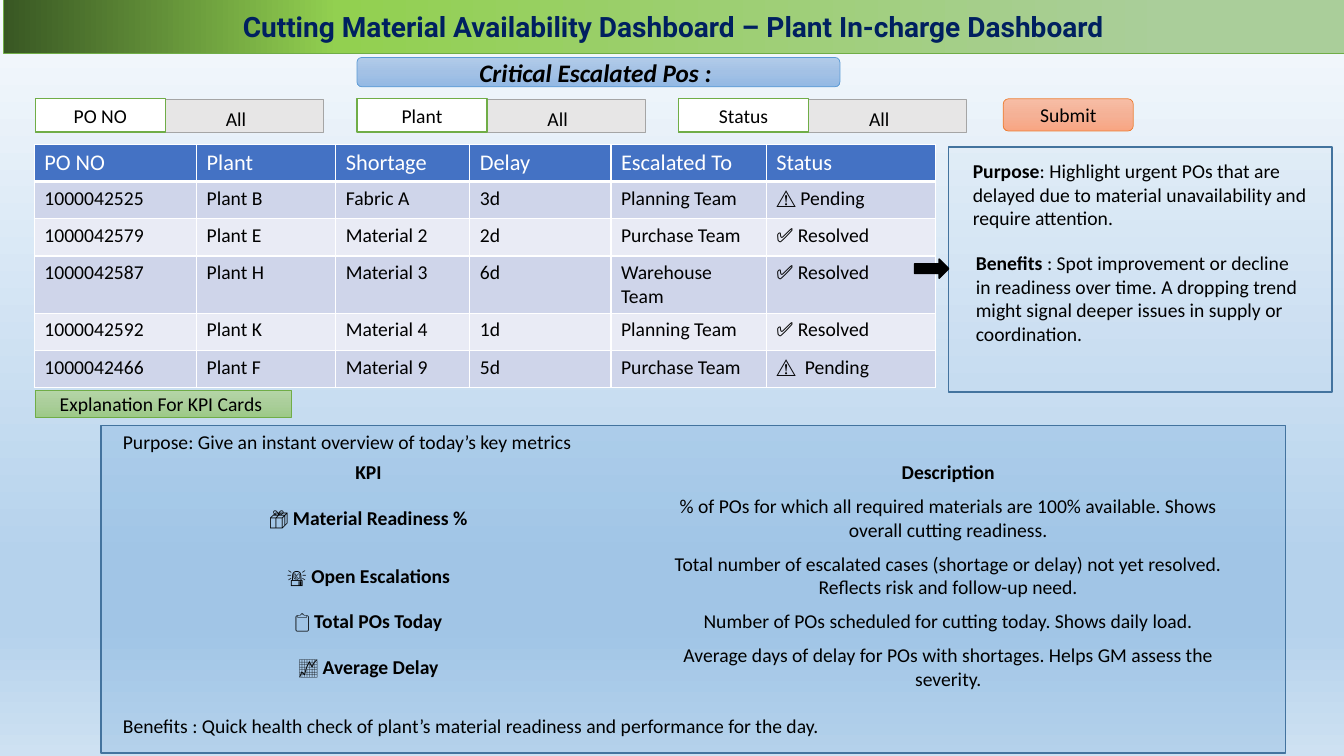
import pptx
import pptx.util
import pptx.dml.color
import pptx.enum.shapes
import pptx.enum.text
import pptx.oxml
import pptx.oxml.ns
from pptx.util import Inches

SHAPES = pptx.enum.shapes.MSO_SHAPE
ALIGN = pptx.enum.text.PP_ALIGN
ANCHOR = pptx.enum.text.MSO_ANCHOR
NAMESPACE = pptx.oxml.ns.nsdecls("a")
PLAIN_TABLE = "{2D5ABB26-0587-4C30-8999-92F81FD0307C}"

ESCALATIONS = [
    ("PO NO", "Plant", "Shortage", "Delay", "Escalated To", "Status"),
    ("1000042525", "Plant B", "Fabric A", "3d", "Planning Team", "⚠ Pending"),
    ("1000042579", "Plant E", "Material 2", "2d", "Purchase Team", "✅ Resolved"),
    ("1000042587", "Plant H", "Material 3", "6d", "Warehouse Team", "✅ Resolved"),
    ("1000042592", "Plant K", "Material 4", "1d", "Planning Team", "✅ Resolved"),
    ("1000042466", "Plant F", "Material 9", "5d", "Purchase Team", "⚠  Pending"),
]
KPIS = [
    ("📦 ", "Material Readiness %", "% of POs for which all required materials are 100% available. "
     "Shows overall cutting readiness."),
    ("🚨 ", "Open Escalations", "Total number of escalated cases (shortage or delay) not yet resolved. "
     "Reflects risk and follow-up need."),
    ("📋 ", "Total POs Today", "Number of POs scheduled for cutting today. Shows daily load."),
    ("📈 ", "Average Delay", "Average days of delay for POs with shortages. Helps GM assess the severity."),
]


def color(value):
    return pptx.dml.color.RGBColor.from_string(value)


def gradient(stops, angle):
    marks = "".join(f'<a:gs pos="{place * 1000}"><a:srgbClr val="{value}"/></a:gs>' for place, value in stops)
    return pptx.oxml.parse_xml(
        f'<a:gradFill {NAMESPACE} rotWithShape="1"><a:gsLst>{marks}</a:gsLst>'
        f'<a:lin ang="{angle * 60000}" scaled="0"/></a:gradFill>')


def replace_fill(fill, holder, element):
    fill.solid()
    fill.fore_color.rgb = color("FFFFFF")
    holder.replace(holder.find(pptx.oxml.ns.qn("a:solidFill")), element)


def write(frame, spans, size=14, align=ALIGN.LEFT, ink="000000", font="Calibri", italic=False):
    frame.word_wrap = True
    para = frame.paragraphs[0]
    para.alignment = align
    for text, bold in spans:
        span = para.add_run()
        span.text = text
        span.font.name = font
        span.font.size = pptx.util.Pt(size)
        span.font.bold = bold
        span.font.italic = italic
        span.font.color.rgb = color(ink)


def add_box(page, box, fill, line, weight=0.5, kind=SHAPES.RECTANGLE, angle=90, opacity=100):
    shape = page.shapes.add_shape(kind, *map(Inches, box))
    shape.shadow.inherit = False
    properties = shape._element.spPr
    if isinstance(fill, list):
        replace_fill(shape.fill, properties, gradient(fill, angle))
    else:
        shape.fill.solid()
        shape.fill.fore_color.rgb = color(fill)
        if opacity < 100:
            tint = properties.find(".//" + pptx.oxml.ns.qn("a:srgbClr"))
            tint.append(pptx.oxml.parse_xml(f'<a:alpha {NAMESPACE} val="{opacity * 1000}"/>'))
    shape.line.color.rgb = color(line)
    shape.line.width = pptx.util.Pt(weight)
    return shape


def add_label(page, box, text, fill, line, bold=False, size=14, ink="000000", font="Calibri",
              italic=False, **look):
    shape = add_box(page, box, fill, line, **look)
    shape.text_frame.vertical_anchor = ANCHOR.MIDDLE
    write(shape.text_frame, [(text, bold)], size, ALIGN.CENTER, ink, font, italic)
    return shape


def add_text(page, box, spans):
    write(page.shapes.add_textbox(*map(Inches, box)).text_frame, spans)


def add_grid(page, box, widths, heights):
    table = page.shapes.add_table(len(heights), len(widths), *map(Inches, box)).table
    table._tbl.tblPr.find(pptx.oxml.ns.qn("a:tableStyleId")).text = PLAIN_TABLE
    for column, width in zip(table.columns, widths):
        column.width = Inches(width)
    for row, height in zip(table.rows, heights):
        row.height = Inches(height)
    return table


def add_borders(cell, bottom):
    for side, weight in (("L", 1), ("R", 1), ("T", 1), ("B", bottom)):
        cell._tc.get_or_add_tcPr().append(pptx.oxml.parse_xml(
            f'<a:ln{side} {NAMESPACE} w="{weight * 12700}"><a:solidFill>'
            f'<a:srgbClr val="FFFFFF"/></a:solidFill></a:ln{side}>'))


def paint_background(page):
    stops = [(0, "F7FAFD"), (74, "B5D2EC"), (83, "B5D2EC"), (100, "CEE1F2")]
    fill = page.background.fill
    replace_fill(fill, page._element.cSld.bg.bgPr, gradient(stops, 90))


def add_escalation_table(page, box):
    table = add_grid(page, box, (1.61, 1.38, 1.33, 1.4, 1.54, 1.68), [0.37] * len(ESCALATIONS))
    for row, values in enumerate(ESCALATIONS):
        header = row == 0
        fill = "4472C4" if header else ("E9EBF5", "CFD5EA")[row % 2]
        for column, value in enumerate(values):
            cell = table.cell(row, column)
            add_borders(cell, 3 if header else 1)
            cell.fill.solid()
            cell.fill.fore_color.rgb = color(fill)
            write(cell.text_frame, [(value, False)], 16 if header else 14,
                  ink="FFFFFF" if header else "000000")


def add_kpi_panel(page, box):
    left, top, width, height = box
    add_box(page, box, "5B9BD5", "43739E", 1, opacity=22)
    table = add_grid(page, (left - 0.22, top + 0.3, 11.5, 2.37), (5.75, 5.75), (0.33, 0.57, 0.57, 0.33, 0.57))
    rows = [([("KPI", True)], [("Description", True)])]
    rows += [([(icon, False), (name, True)], [(meaning, False)]) for icon, name, meaning in KPIS]
    for row, values in enumerate(rows):
        for column, spans in enumerate(values):
            cell = table.cell(row, column)
            cell.vertical_anchor = ANCHOR.MIDDLE
            write(cell.text_frame, spans, align=ALIGN.CENTER)
    notes = (
        (0, "Purpose: Give an instant overview of today’s key metrics"),
        (2.81, "Benefits : Quick health check of plant’s material readiness and performance for the day."),
    )
    for drop, text in notes:
        add_text(page, (left + 0.12, top + drop, 9.32, 0.34), [(text, False)])


def add_filter(page, box, name):
    left, top, width, height = box
    choice = add_label(page, (left, top + 0.01, width, height - 0.01), "All", "E7E6E6", "A5A5A5")
    choice.text_frame.margin_left = Inches(1.22)
    choice.text_frame.margin_top = Inches(0.09)
    choice.text_frame.margin_bottom = Inches(0.04)
    add_label(page, (left, top, 1.29, height), name, "FFFFFF", "70AD47", weight=1)


def add_purpose_panel(page, box):
    left, top, width, height = box
    add_box(page, box, "5B9BD5", "43739E", 1, opacity=3)
    add_text(page, (left + 0.14, top + 0.07, 3.53, 0.81), [
        ("Purpose", True),
        (": Highlight urgent POs that are delayed due to material unavailability and require attention.", False)])
    add_text(page, (left + 0.17, top + 0.98, 3.49, 1.04), [
        ("Benefits ", True),
        (": Spot improvement or decline in readiness over time. A dropping trend might signal "
         "deeper issues in supply or coordination.", False)])
    add_box(page, (left - 0.34, top + 1.11, 0.34, 0.19), "000000", "000000", 1, SHAPES.RIGHT_ARROW)


def add_headings(page):
    add_label(page, (0.03, -0.01, 13.3, 0.54),
              "Cutting Material Availability Dashboard – Plant In-charge Dashboard",
              [(13, "AACE9A"), (75, "92D050"), (100, "385723")], "70AD47", bold=True,
              size=20, ink="002060", font="Roboto", angle=180)
    add_label(page, (3.54, 0.57, 4.79, 0.29), "Critical Escalated Pos : ",
              [(0, "B1CBE9"), (50, "A3C1E5"), (100, "93B9E4")], "5B9BD5", bold=True,
              size=18, italic=True, kind=SHAPES.ROUNDED_RECTANGLE)
    add_label(page, (0.35, 3.87, 2.54, 0.27), "Explanation For KPI Cards ",
              [(0, "B5D5A7"), (50, "AACE9A"), (100, "9CC987")], "70AD47")


def add_filter_bar(page, left, top):
    for index, name in enumerate(("PO NO", "Plant", "Status")):
        add_filter(page, (left + index * 3.19, top, 2.86, 0.33), name)
    add_label(page, (left + 9.6, top, 1.29, 0.32), "Submit",
              [(0, "F7BDA5"), (50, "F5B196"), (100, "F8A582")], "ED7D31",
              kind=SHAPES.ROUNDED_RECTANGLE)


def main():
    deck = pptx.Presentation()
    deck.slide_width = Inches(13.33)
    deck.slide_height = Inches(7.5)
    page = deck.slides.add_slide(deck.slide_layouts[6])
    paint_background(page)
    add_kpi_panel(page, (1, 4.22, 11.75, 3.25))
    add_escalation_table(page, (0.34, 1.43, 8.94, 2.44))
    add_filter_bar(page, 0.35, 0.98)
    add_purpose_panel(page, (9.41, 1.46, 3.8, 2.43))
    add_headings(page)
    deck.save("out.pptx")


if __name__ == "__main__":
    main()
